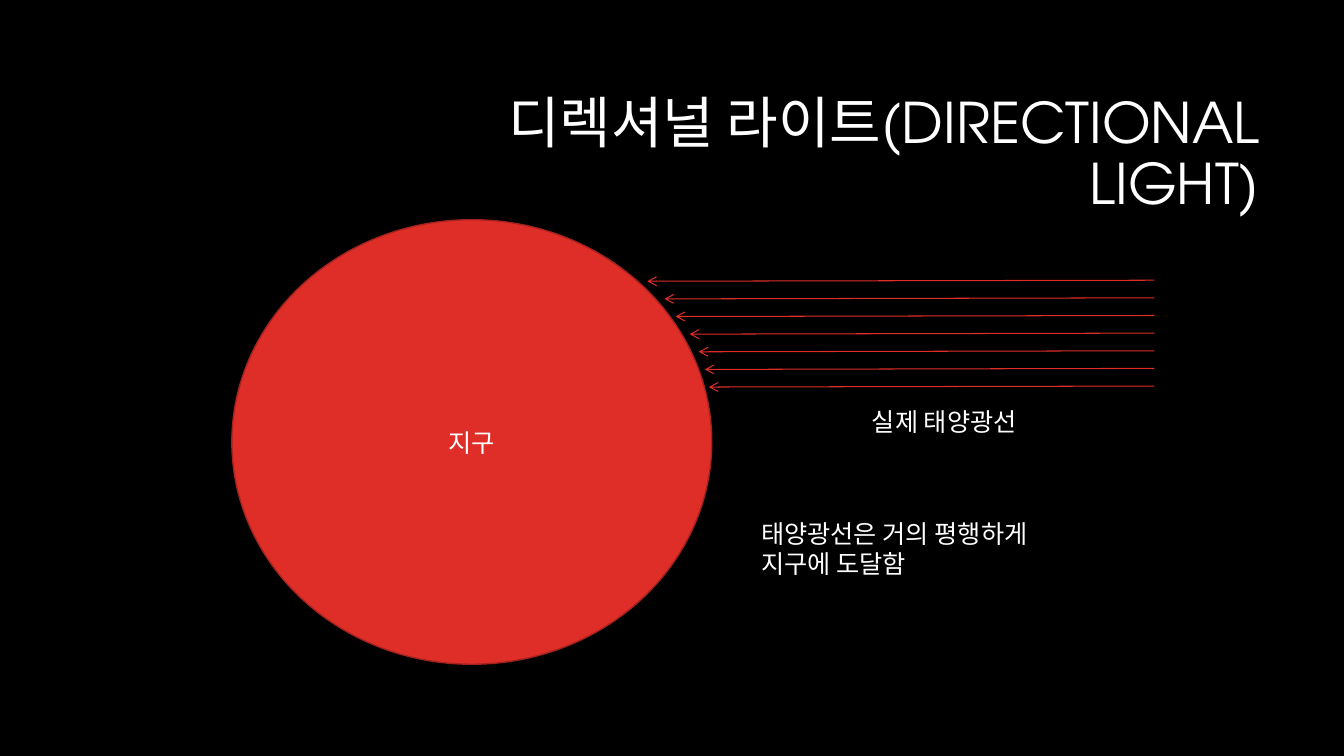
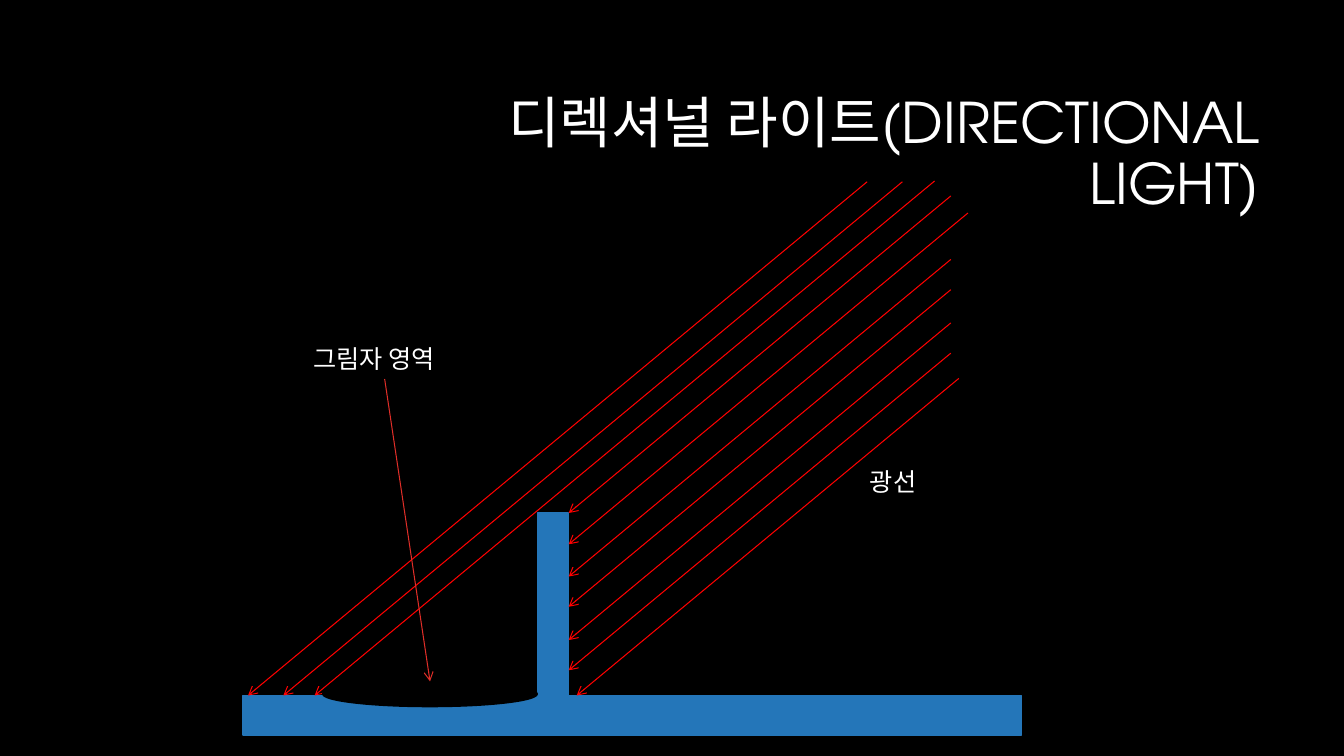
from lxml.etree import SubElement
from pptx import Presentation
from pptx.dml.color import RGBColor
from pptx.enum.shapes import MSO_CONNECTOR, MSO_SHAPE
from pptx.enum.text import MSO_ANCHOR, MSO_AUTO_SIZE, PP_ALIGN
from pptx.oxml.ns import qn
from pptx.util import Inches, Pt

BLACK = RGBColor(0x00, 0x00, 0x00)
WHITE = RGBColor(0xFF, 0xFF, 0xFF)
EARTH_RED = RGBColor(0xDF, 0x2E, 0x28)
EARTH_EDGE = RGBColor(0xA5, 0x22, 0x1E)
RAY_RED = RGBColor(0xFF, 0x00, 0x00)
BLUE = RGBColor(0x24, 0x76, 0xB9)
FONT = "TeX Gyre Adventor"

TITLE = "디렉셔널 라이트(DIRECTIONAL LIGHT)"
TITLE_AREA = (3.17, 0.84, 9.42, 1.41)

EARTH = (2.3, 2.18, 4.76, 4.41)
SUN_X = 11.45
SUN_TOP, SUN_BOTTOM = 2.78, 3.83
SUN_DROP = 0.01
SUN_TIPS = [6.42, 6.59, 6.7, 6.84, 6.93, 6.99, 7.03]
SUN_LABEL = ("실제 태양광선", (7.77, 3.98, 3.19, 0.4))
SUN_NOTE = ("태양광선은 거의 평행하게 지구에 도달함", (7.45, 5.09, 3.5, 0.71))

GROUND = (2.41, 6.9, 7.72, 0.39)
WALL = (5.33, 5.09, 0.31, 1.81)
SHADOW = (3.2, 6.76, 2.13, 0.25)
SHADOW_LABEL = ("그림자 영역", (3.01, 3.36, 1.61, 0.4))
RAY_LABEL = ("광선", (8.53, 4.58, 1.81, 0.4))
RAY_SLOPE = 0.83
GROUND_Y = GROUND[1]
WALL_FACE = WALL[0] + WALL[2]
RAYS = [
    (9.27, 3.12, GROUND_Y),
    (9.43, WALL_FACE, 5.09),
    (9.6, WALL_FACE, 5.4),
    (9.43, WALL_FACE, 5.72),
    (9.43, WALL_FACE, 6.02),
    (9.43, WALL_FACE, 6.35),
    (9.43, WALL_FACE, 6.65),
    (9.51, 5.72, GROUND_Y),
    (8.95, 2.81, GROUND_Y),
    (8.6, 2.46, GROUND_Y),
]


def inches(values):
    return [Inches(value) for value in values]


def write(shape, text, size=18, align=PP_ALIGN.LEFT, anchor=MSO_ANCHOR.TOP):
    frame = shape.text_frame
    frame.text = text
    frame.word_wrap = True
    frame.vertical_anchor = anchor
    para = frame.paragraphs[0]
    para.alignment = align
    font = para.runs[0].font
    font.name = FONT
    font.size = Pt(size)
    font.color.rgb = WHITE
    return para


def add_label(page, label, align=PP_ALIGN.LEFT):
    text, area = label
    box = page.shapes.add_textbox(*inches(area))
    write(box, text, align=align)
    box.text_frame.auto_size = MSO_AUTO_SIZE.SHAPE_TO_FIT_TEXT
    return box


def add_solid(page, kind, area, fill, edge):
    shape = page.shapes.add_shape(kind, *inches(area))
    shape.shadow.inherit = False
    shape.fill.solid()
    shape.fill.fore_color.rgb = fill
    shape.line.color.rgb = edge
    shape.line.width = Pt(1)
    return shape


def add_arrow(page, start, end, color):
    arrow = page.shapes.add_connector(MSO_CONNECTOR.STRAIGHT, *inches(start + end))
    arrow.line.color.rgb = color
    arrow.line.width = Pt(0.75)
    SubElement(arrow.line._get_or_add_ln(), qn("a:tailEnd"), type="arrow")
    SubElement(arrow._element.spPr, qn("a:effectLst"))
    return arrow


def add_page(deck):
    page = deck.slides.add_slide(deck.slide_layouts[6])
    page.background.fill.solid()
    page.background.fill.fore_color.rgb = BLACK
    title = page.shapes.add_textbox(*inches(TITLE_AREA))
    para = write(title, TITLE, 40, PP_ALIGN.RIGHT, MSO_ANCHOR.MIDDLE)
    para.line_spacing = 0.9
    return page


def build_earth_page(deck):
    page = add_page(deck)
    earth = add_solid(page, MSO_SHAPE.OVAL, EARTH, EARTH_RED, EARTH_EDGE)
    write(earth, "지구", align=PP_ALIGN.CENTER, anchor=MSO_ANCHOR.MIDDLE)
    gap = (SUN_BOTTOM - SUN_TOP) / (len(SUN_TIPS) - 1)
    for index, tip in enumerate(SUN_TIPS):
        y = SUN_TOP + index * gap
        add_arrow(page, (SUN_X, y), (tip, y + SUN_DROP), EARTH_RED)
    add_label(page, SUN_LABEL, PP_ALIGN.CENTER)
    add_label(page, SUN_NOTE)


def build_shadow_page(deck):
    page = add_page(deck)
    for area in (WALL, GROUND):
        add_solid(page, MSO_SHAPE.RECTANGLE, area, BLUE, BLUE)
    for start_x, tip_x, tip_y in RAYS:
        start_y = tip_y - RAY_SLOPE * (start_x - tip_x)
        add_arrow(page, (start_x, start_y), (tip_x, tip_y), RAY_RED)
    shadow = add_solid(page, MSO_SHAPE.OVAL, SHADOW, BLACK, BLACK)
    label = add_label(page, SHADOW_LABEL)
    pointer = add_arrow(page, (3.82, 3.76), (4.26, 6.76), EARTH_RED)
    pointer.begin_connect(label, 2)
    pointer.end_connect(shadow, 0)
    add_label(page, RAY_LABEL)


def main():
    deck = Presentation()
    deck.slide_width = Inches(13.33)
    deck.slide_height = Inches(7.5)
    build_earth_page(deck)
    build_shadow_page(deck)
    deck.save("out.pptx")


if __name__ == "__main__":
    main()
